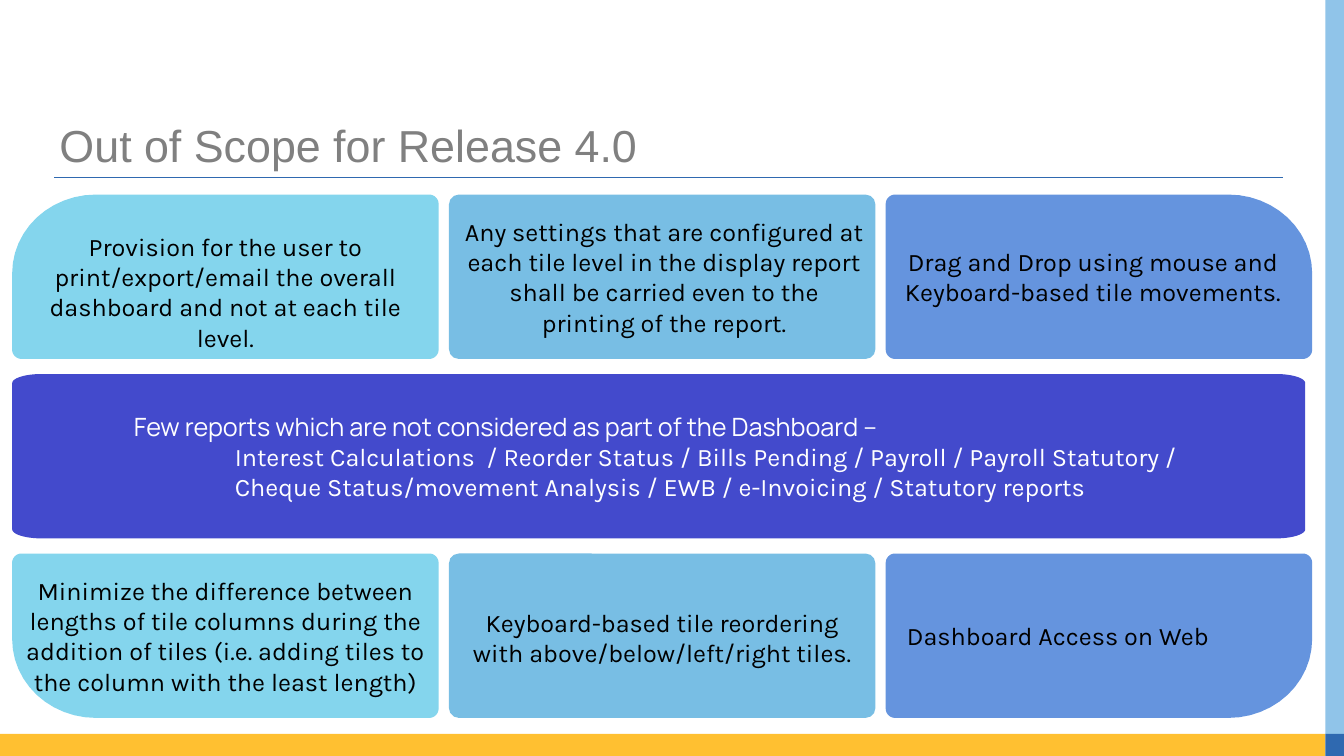
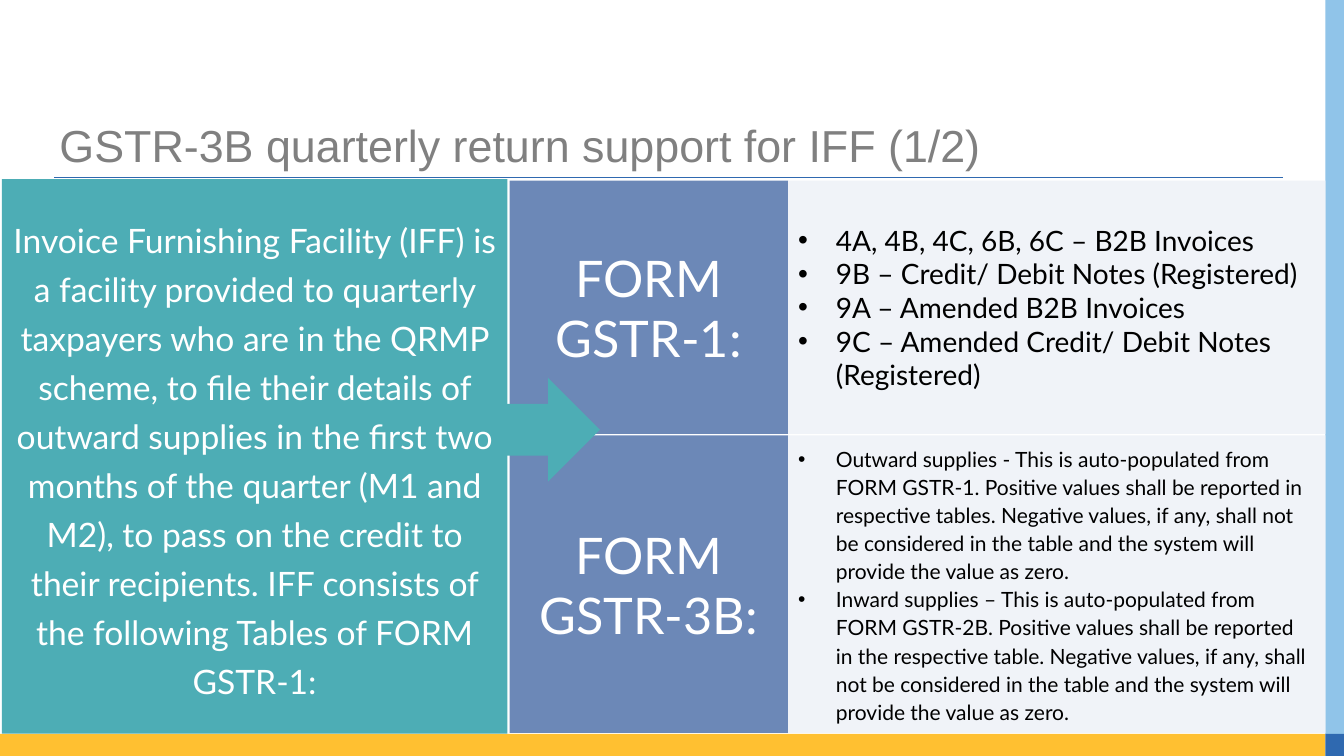
import math
import pptx
import pptx.util
import pptx.dml.color
import pptx.enum.shapes
import pptx.enum.text
import pptx.oxml
import pptx.oxml.ns
from lxml import etree

Pt = pptx.util.Pt
KIND = pptx.enum.shapes.MSO_SHAPE
ALIGN = pptx.enum.text.PP_ALIGN
ANCHOR = pptx.enum.text.MSO_ANCHOR

THEME = {
    "ink": "000000", "white": "FFFFFF", "grey": "808080",
    "gold": "FFC031", "sky": "90C4E9", "navy": "2F69B0",
    "aqua": "84D5ED", "azure": "78BEE4", "blue": "6594DE", "indigo": "434ACC",
    "teal": "4DADB5", "slate": "6C88B7", "mist": "F0F3F8",
}
FONTS = {
    "title": {"name": "Arial", "size": Pt(32), "color": "grey"},
    "tile": {"name": "Karla", "size": Pt(18), "color": "ink"},
    "lead": {"name": "Manrope", "size": Pt(18), "color": "white"},
    "list": {"name": "Karla", "size": Pt(18), "color": "white"},
    "intro": {"name": "Lato", "size": Pt(24), "color": "white"},
    "form": {"name": "Lato", "size": Pt(36), "color": "white"},
    "large": {"name": "Lato", "size": Pt(20), "color": "ink"},
    "small": {"name": "Lato", "size": Pt(15), "color": "ink"},
}

SCOPE = "Out of Scope for Release 4.0"
TILES = [
    (0, 0, "aqua", 0, (0, 10.7),
     "Provision for the user to print/export/email the overall dashboard and not at each tile level."),
    (0, 1, "azure", None, (1.4, 0),
     "Any settings that are configured at each tile level in the display report shall be carried even to the printing of the report."),
    (0, 2, "blue", 1, (-4.3, 0),
     "Drag and Drop using mouse and Keyboard-based tile movements."),
    (2, 0, "aqua", 3, (0, 0),
     "Minimize the difference between lengths of tile columns during the addition of tiles (i.e. adding tiles to the column with the least length)"),
    (2, 1, "azure", None, (0, 1.4),
     "Keyboard-based tile reordering with above/below/left/right tiles."),
    (2, 2, "blue", 2, (8, 0), "Dashboard Access on Web"),
]
REPORTS = [
    "Few reports which are not considered as part of the Dashboard –",
    "Interest Calculations  / Reorder Status / Bills Pending / Payroll / Payroll Statutory /",
    "Cheque Status/movement Analysis / EWB / e-Invoicing / Statutory reports",
]

RETURN = "GSTR-3B quarterly return support for IFF (1/2)"
INTRO = (
    "Invoice Furnishing Facility (IFF) is a facility provided to quarterly taxpayers "
    "who are in the QRMP scheme, to file their details of outward supplies in the first "
    "two months of the quarter (M1 and M2), to pass on the credit to their recipients. "
    "IFF consists of the following Tables of FORM GSTR-1:"
)
FORMS = [
    ("FORM GSTR-1:", 129, 181, "large", None, [
        "4A, 4B, 4C, 6B, 6C – B2B Invoices",
        "9B – Credit/ Debit Notes (Registered)",
        "9A – Amended B2B Invoices",
        "9C – Amended Credit/ Debit Notes (Registered)",
    ]),
    ("FORM GSTR-3B:", 311, 212.5, "small", Pt(20), [
        "Outward supplies - This is auto-populated from FORM GSTR-1. Positive values shall be reported in respective tables. Negative values, if any, shall not be considered in the table and the system will provide the value as zero.",
        "Inward supplies – This is auto-populated from FORM GSTR-2B. Positive values shall be reported in the respective table. Negative values, if any, shall not be considered in the table and the system will provide the value as zero.",
    ]),
]

WIDE, HIGH = 960, 540
EDGE, FOOT = 946.8, 524.2
LEFT, TOP = 8.7, 139
TILE_W, TILE_H = 304.6, 117.4
STEP_X, STEP_Y = 312, 128.2
BAND_W = 923.6
ROUND, BEND, SOFT = (6.8, 6.6), (59.8, 56.3), (20.9, 6.5)


def tint(name):
    return pptx.dml.color.RGBColor.from_string(THEME[name])


def style(item, marks):
    for key, value in marks.items():
        setattr(item, key, value)


def paint(shape, hue):
    shape.shadow.inherit = False
    shape.fill.solid()
    shape.fill.fore_color.rgb = tint(hue)
    shape.line.fill.background()
    return shape


def block(slide, kind, box, hue):
    return paint(slide.shapes.add_shape(kind, *map(Pt, box)), hue)


def curve(slide, box, bends, hue):
    x, y, w, h = box
    dots = []
    for turn, (rx, ry) in enumerate(bends):
        cx = x + rx if turn in (0, 3) else x + w - rx
        cy = y + ry if turn < 2 else y + h - ry
        for step in range(13):
            angle = math.radians(180 + 90 * turn + 7.5 * step)
            dots.append((Pt(cx + rx * math.cos(angle)), Pt(cy + ry * math.sin(angle))))
    path = slide.shapes.build_freeform(*dots[0], scale=1.0)
    path.add_line_segments(dots[1:], close=True)
    return paint(path.convert_to_shape(), hue)


def write(shape, lines, font, marks=None, frame=None):
    body = shape.text_frame
    style(body, {"word_wrap": True, "vertical_anchor": ANCHOR.MIDDLE, **(frame or {})})
    for index, line in enumerate(lines):
        para = body.paragraphs[0] if index == 0 else body.add_paragraph()
        run = para.add_run()
        run.text = line
        ink = dict(FONTS[font])
        run.font.color.rgb = tint(ink.pop("color"))
        style(run.font, ink)
        style(para, {"alignment": ALIGN.CENTER, **(marks or {})})
    return body.paragraphs


def indent(para, left, hang=0):
    props = para._p.get_or_add_pPr()
    props.set("marL", str(Pt(left)))
    props.set("indent", str(Pt(hang)))
    return props


def bullet(para):
    props = indent(para, 27, -27)
    for tag, key, value in (("a:buFont", "typeface", "Arial"), ("a:buChar", "char", "•")):
        etree.SubElement(props, pptx.oxml.ns.qn(tag)).set(key, value)


def start(deck, title):
    slide = deck.slides.add_slide(deck.slide_layouts[5])
    write(slide.shapes.title, [title], "title",
          {"alignment": ALIGN.LEFT, "line_spacing": 0.9},
          {"vertical_anchor": ANCHOR.TOP, "auto_size": pptx.enum.text.MSO_AUTO_SIZE.NONE})
    return slide


def frame_up(slide):
    layout = slide.slide_layout
    for holder in list(layout.placeholders):
        if holder.placeholder_format.idx == 0:
            style(holder, {"left": Pt(35.3), "top": Pt(85), "width": Pt(878), "height": Pt(36)})
        else:
            holder.element.getparent().remove(holder.element)
    rule = slide.shapes.add_connector(
        pptx.enum.shapes.MSO_CONNECTOR.STRAIGHT, Pt(38.7), Pt(126.8), Pt(916.8), Pt(126.8))
    rule.line.color.rgb = tint("navy")
    rule.line.width = Pt(0.82)
    etree.SubElement(rule.element.spPr, pptx.oxml.ns.qn("a:effectLst"))
    bars = [
        ((0, FOOT, EDGE, HIGH - FOOT), "gold"),
        ((EDGE, 0, WIDE - EDGE, FOOT), "sky"),
        ((EDGE, FOOT, WIDE - EDGE, HIGH - FOOT), "navy"),
    ]
    parts = [rule] + [block(slide, KIND.RECTANGLE, box, hue) for box, hue in bars]
    for part in parts:
        layout.shapes.element.append(part.element)


def fill_scope(slide):
    for row, col, hue, bend, (dx, dy), text in TILES:
        box = (LEFT + STEP_X * col, TOP + STEP_Y * row, TILE_W, TILE_H)
        if bend is None:
            tile = block(slide, KIND.ROUNDED_RECTANGLE, box, hue)
            tile.adjustments[0] = 0.06
        else:
            tile = curve(slide, box, [BEND if turn == bend else ROUND for turn in range(4)], hue)
        side = ALIGN.LEFT if dx > 7 else ALIGN.CENTER
        write(tile, [text], "tile", {"alignment": side}, {
            "margin_left": Pt(7.2 + dx), "margin_right": Pt(max(0, 7.2 - dx)),
            "margin_top": Pt(10.8 + dy), "margin_bottom": Pt(10.8 - dy)})
    band = curve(slide, (LEFT, TOP + STEP_Y, BAND_W, TILE_H), [SOFT] * 4, "indigo")
    lines = write(band, REPORTS, "list", {"alignment": ALIGN.LEFT}, {"margin_left": Pt(87)})
    lead = dict(FONTS["lead"])
    lead.pop("color")
    style(lines[0].runs[0].font, lead)
    for para in lines[1:]:
        indent(para, 72)


def fill_return(slide):
    notes = []
    for name, top, high, font, space, lines in FORMS:
        form = block(slide, KIND.RECTANGLE, (364, top, 199, high), "slate")
        write(form, [name], "form")
        notes.append((top, high, font, space, lines))
    block(slide, KIND.RIGHT_ARROW, (312.5, 270, 116, 74), "teal")
    panel = block(slide, KIND.RECTANGLE, (1.4, 128, 361, 396), "teal")
    write(panel, [INTRO], "intro", {"line_spacing": Pt(35)})
    for top, high, font, space, lines in notes:
        note = block(slide, KIND.RECTANGLE, (563, top, EDGE - 563, high), "mist")
        for para in write(note, lines, font, {"alignment": ALIGN.LEFT}):
            bullet(para)
            para.line_spacing = space


def main():
    deck = pptx.Presentation()
    style(deck, {"slide_width": Pt(WIDE), "slide_height": Pt(HIGH)})
    scope = start(deck, SCOPE)
    frame_up(scope)
    fill_scope(scope)
    fill_return(start(deck, RETURN))
    deck.save("out.pptx")


if __name__ == "__main__":
    main()
